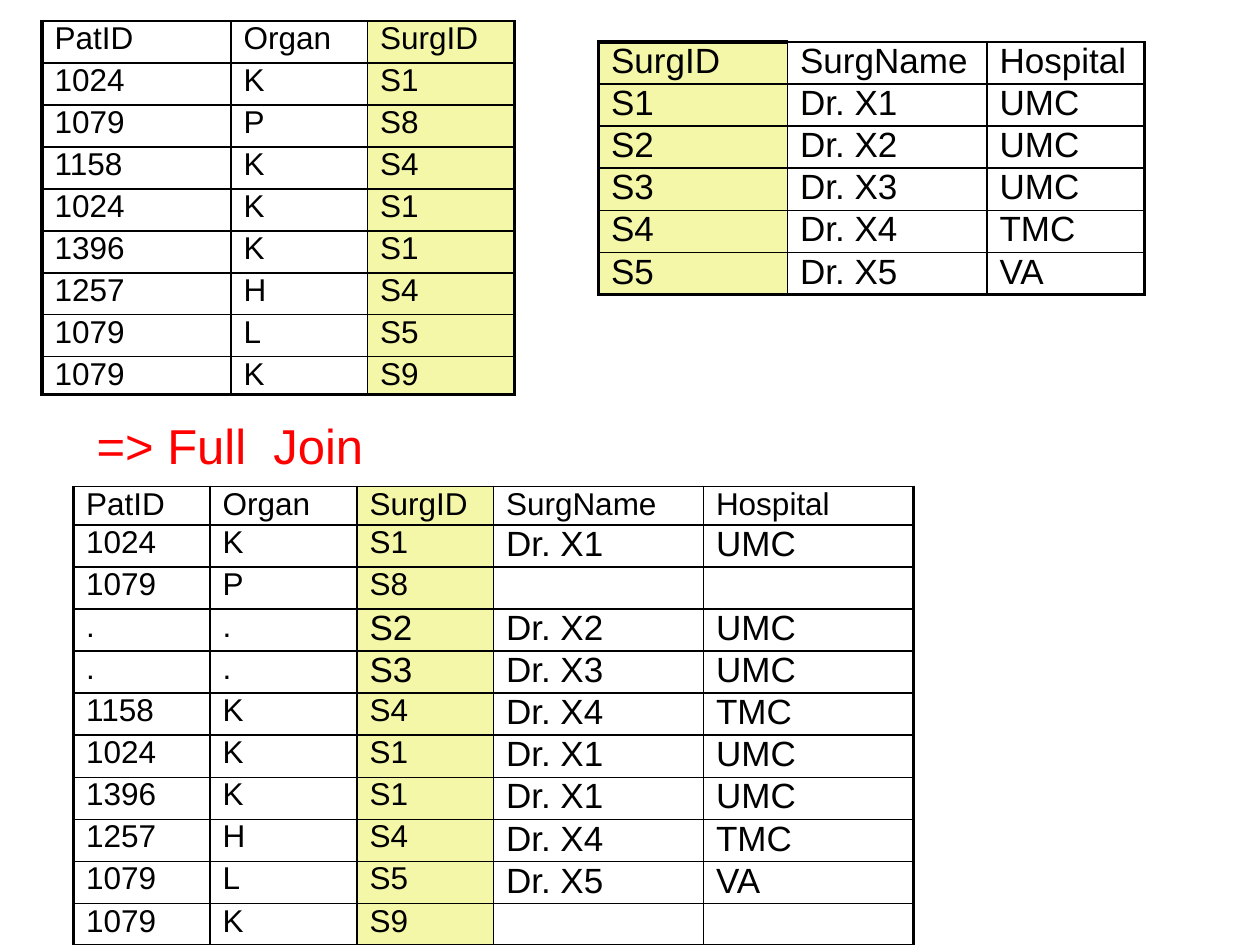
import pptx
import pptx.dml.color
import pptx.enum.text
import pptx.oxml
import pptx.oxml.ns
import pptx.util

Pt = pptx.util.Pt
FONT = "Arial"
BLACK, WHITE, KEY_YELLOW, RED = "000000", "FFFFFF", "F4F6A8", "FF0000"
THIN, THICK = 1, 2.25

PATIENTS = [
    ("PatID", "Organ", "SurgID"),
    ("1024", "K", "S1"),
    ("1079", "P", "S8"),
    ("1158", "K", "S4"),
    ("1024", "K", "S1"),
    ("1396", "K", "S1"),
    ("1257", "H", "S4"),
    ("1079", "L", "S5"),
    ("1079", "K", "S9"),
]
SURGEONS = [
    ("SurgID", "SurgName", "Hospital"),
    ("S1", "Dr. X1", "UMC"),
    ("S2", "Dr. X2", "UMC"),
    ("S3", "Dr. X3", "UMC"),
    ("S4", "Dr. X4", "TMC"),
    ("S5", "Dr. X5", "VA"),
]
JOINED = [
    ("PatID", "Organ", "SurgID", "SurgName", "Hospital"),
    ("1024", "K", "S1", "Dr. X1", "UMC"),
    ("1079", "P", "S8", "", ""),
    (".", ".", "S2", "Dr. X2", "UMC"),
    (".", ".", "S3", "Dr. X3", "UMC"),
    ("1158", "K", "S4", "Dr. X4", "TMC"),
    ("1024", "K", "S1", "Dr. X1", "UMC"),
    ("1396", "K", "S1", "Dr. X1", "UMC"),
    ("1257", "H", "S4", "Dr. X4", "TMC"),
    ("1079", "L", "S5", "Dr. X5", "VA"),
    ("1079", "K", "S9", "", ""),
]


def color(hex_value):
    return pptx.dml.color.RGBColor.from_string(hex_value)


def style_text(paragraph, size, hex_value):
    for run in paragraph.runs:
        run.font.name = FONT
        run.font.size = Pt(size)
        run.font.color.rgb = color(hex_value)


def set_borders(cell, widths):
    """Draw black borders; widths maps the sides L, R, T, B to points."""
    properties = cell._tc.get_or_add_tcPr()
    for side, width in widths.items():
        properties.append(pptx.oxml.parse_xml(
            f'<a:ln{side} {pptx.oxml.ns.nsdecls("a")} w="{Pt(width)}">'
            f'<a:solidFill><a:srgbClr val="{BLACK}"/></a:solidFill></a:ln{side}>'))


def add_relation(slide, left, top, widths, heights, rows, key, text_size,
                 thick_key_top=False):
    """Add a relation whose key column is highlighted."""
    grid = slide.shapes.add_table(
        len(rows), len(widths), Pt(left), Pt(top),
        Pt(sum(widths)), Pt(sum(heights))).table
    grid.first_row = grid.horz_banding = False
    for column, width in zip(grid.columns, widths):
        column.width = Pt(width)
    for line, height in zip(grid.rows, heights):
        line.height = Pt(height)

    last_row, last_col = len(rows) - 1, len(widths) - 1
    for r, values in enumerate(rows):
        for c, value in enumerate(values):
            cell = grid.cell(r, c)
            cell.margin_left = cell.margin_right = Pt(7.2)
            cell.margin_top = cell.margin_bottom = 0
            heavy_top = thick_key_top and r == 0 and c == key
            set_borders(cell, {
                "L": THICK if c == 0 else THIN,
                "R": THICK if c == last_col else THIN,
                "T": THICK if heavy_top else THIN,
                "B": THICK if r == last_row else THIN,
            })
            cell.fill.solid()
            cell.fill.fore_color.rgb = color(KEY_YELLOW if c == key else WHITE)
            cell.text_frame.text = value
            style_text(cell.text_frame.paragraphs[0], text_size(r, c), BLACK)


def add_heading(slide, left, top, width, height):
    heading = slide.shapes.title
    heading.left, heading.top = Pt(left), Pt(top)
    heading.width, heading.height = Pt(width), Pt(height)
    frame = heading.text_frame
    frame.text = "=> Full  Join"
    frame.word_wrap = False
    frame.auto_size = pptx.enum.text.MSO_AUTO_SIZE.SHAPE_TO_FIT_TEXT
    frame.vertical_anchor = pptx.enum.text.MSO_ANCHOR.TOP
    frame.paragraphs[0].alignment = pptx.enum.text.PP_ALIGN.LEFT
    style_text(frame.paragraphs[0], 28, RED)


def joined_size(row, col):
    """Values taken only from the surgeon relation are set larger."""
    from_surgeons = col > 2 or (col == 2 and JOINED[row][0] == ".")
    return 20 if row > 0 and from_surgeons else 18


def build_join_slide(slide):
    # Source relations
    add_relation(slide, 24, 12, [108, 78, 84], [24] * 8 + [21.6],
                 PATIENTS, 2, lambda row, col: 18)
    add_relation(slide, 342, 24, [108, 114, 90], [22.3] * 3 + [24] + [22.3] * 2,
                 SURGEONS, 0, lambda row, col: 20, thick_key_top=True)
    # Result of the full join
    add_relation(slide, 42, 278, [78, 84, 78, 120, 120], [22] + [24] * 10,
                 JOINED, 2, joined_size)
    add_heading(slide, 48, 234, 167, 41)


def main():
    deck = pptx.Presentation()
    deck.slide_width, deck.slide_height = Pt(720), Pt(540)
    build_join_slide(deck.slides.add_slide(deck.slide_layouts[5]))
    deck.save("out.pptx")


if __name__ == "__main__":
    main()
